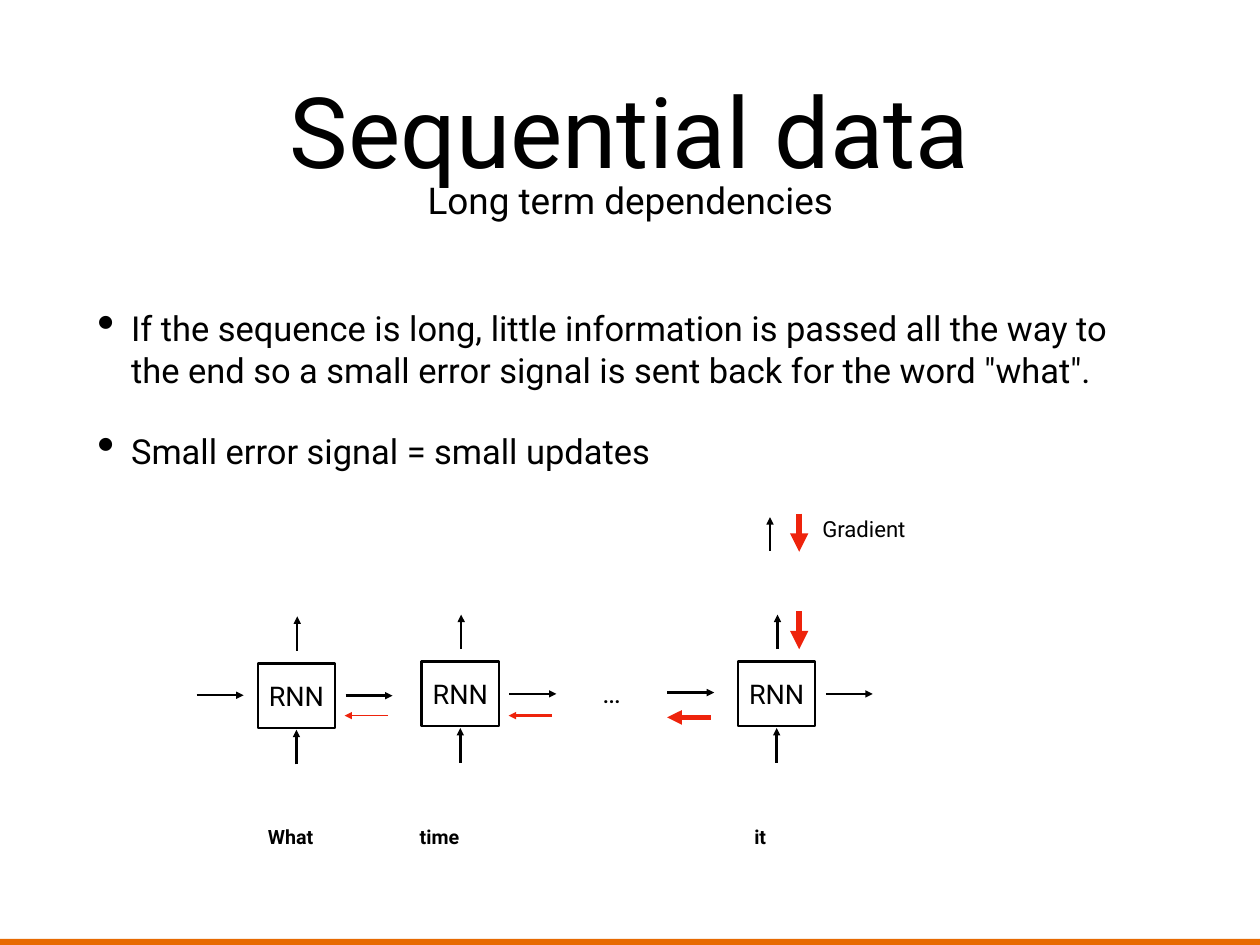
import pptx
import pptx.dml.color
import pptx.enum.shapes
import pptx.enum.text
import pptx.oxml
import pptx.oxml.ns
import pptx.util
from pptx.util import Inches

COLORS = {"text": "000000", "paper": "FFFFFF", "gradient": "EE230C", "footer": "E76A01"}
FONT = "Roboto"
SLIDE_W, SLIDE_H = 14.22, 10.67
ALIGN = pptx.enum.text.PP_ALIGN
RECTANGLE = pptx.enum.shapes.MSO_SHAPE.RECTANGLE


def rgb(name):
    return pptx.dml.color.RGBColor.from_string(COLORS[name])


def add_xml(parent, tag, **attributes):
    element = pptx.oxml.parse_xml(f"<a:{tag} {pptx.oxml.ns.nsdecls('a')}/>")
    for key, value in attributes.items():
        element.set(key, value)
    parent.append(element)


def write(shape, *paragraphs, size, bold=False, align=ALIGN.CENTER, wrap=True,
          bullet=False, gap=0):
    """Fill a shape with paragraphs in one format."""
    frame = shape.text_frame
    frame.auto_size = pptx.enum.text.MSO_AUTO_SIZE.NONE
    frame.word_wrap = wrap
    frame.vertical_anchor = pptx.enum.text.MSO_ANCHOR.MIDDLE
    frame.margin_left = frame.margin_right = Inches(0.06)
    frame.margin_top = frame.margin_bottom = Inches(0.06)
    for index, text in enumerate(paragraphs):
        paragraph = frame.add_paragraph() if index else frame.paragraphs[0]
        paragraph.alignment = align
        if bullet:
            properties = paragraph._p.get_or_add_pPr()
            properties.set("marL", str(Inches(0.38)))
            properties.set("indent", str(-Inches(0.38)))
            add_xml(properties, "buSzPct", val="145000")
            add_xml(properties, "buChar", char="•")
        if index:
            paragraph.space_before = pptx.util.Pt(gap)
        run = paragraph.add_run()
        run.text = text
        run.font.name = FONT
        run.font.size = pptx.util.Pt(size)
        run.font.bold = bold
        run.font.color.rgb = rgb("text")


def add_text(slide, box, *paragraphs, **style):
    write(slide.shapes.add_textbox(*map(Inches, box)), *paragraphs, **style)


def add_rectangle(slide, box, fill, line=None):
    rectangle = slide.shapes.add_shape(RECTANGLE, *map(Inches, box))
    rectangle.shadow.inherit = False
    rectangle.fill.solid()
    rectangle.fill.fore_color.rgb = rgb(fill)
    if line:
        rectangle.line.color.rgb = rgb(line)
        rectangle.line.width = pptx.util.Pt(2)
    else:
        rectangle.line.fill.background()
    return rectangle


def add_arrow(slide, x, y, dx=0, dy=0, color="text", weight=2):
    """Draw an arrow from (x, y) along (dx, dy)."""
    arrow = slide.shapes.add_connector(
        pptx.enum.shapes.MSO_CONNECTOR.STRAIGHT,
        *map(Inches, (x, y, x + dx, y + dy)))
    arrow.line.color.rgb = rgb(color)
    arrow.line.width = pptx.util.Pt(weight)
    add_xml(arrow.line._get_or_add_ln(), "tailEnd", type="triangle")
    add_xml(arrow._element.spPr, "effectLst")


def add_heading(slide, left, top, width, height):
    title = slide.shapes.title
    title.left, title.top, title.width, title.height = map(
        Inches, (left, top, width, height))
    write(title, "Sequential data", size=80)
    add_text(slide, (left + 3.69, top + 1.68, 4.77, 0.6),
             "Long term dependencies", size=30, wrap=False)


def add_points(slide, *box):
    add_text(slide, box,
             "If the sequence is long, little information is passed all the way "
             "to the end so a small error signal is sent back for the word \"what\".",
             "Small error signal = small updates",
             size=28, align=ALIGN.LEFT, bullet=True, gap=32)


def add_cell(slide, left, top, width, height, word, word_center, back_weight=None):
    """One RNN step: its box, forward arrows, input word and backward gradient."""
    cell = add_rectangle(slide, (left, top, width, height), "paper", "text")
    write(cell, "RNN", size=22)
    add_arrow(slide, left + width / 2, top + height + 0.41, dy=-0.39)
    add_arrow(slide, left + width / 2 + 0.01, top - 0.14, dy=-0.39)
    add_arrow(slide, left + width + 0.12, top + height / 2, dx=0.53)
    if back_weight:
        add_arrow(slide, left + width + 0.6, 8.08, dx=-0.49,
                  color="gradient", weight=back_weight)
    add_text(slide, (word_center - 0.4, 9.26, 0.8, 0.37), word,
             size=16, bold=True, wrap=False)


def add_network(slide, left, top):
    cell_size = (0.87, 0.73)
    steps = [
        (0.69, 0.02, "What", 3.28, 1),
        (2.54, 0, "time", 4.96, 2),
        (6.11, 0, "it", 8.58, None),
    ]
    for dx, dy, word, word_center, back_weight in steps:
        add_cell(slide, left + dx, top + dy, *cell_size, word, word_center, back_weight)

    # Incoming state, skipped steps and the arrows around the last step
    add_arrow(slide, left, top + 0.38, dx=0.53)
    add_text(slide, (left + 4.53, top + 0.2, 0.31, 0.37), "...",
             size=16, bold=True, wrap=False)
    add_arrow(slide, left + 5.31, top + 0.35, dx=0.53)
    add_arrow(slide, left + 5.8, top + 0.63, dx=-0.49, color="gradient", weight=4)
    add_arrow(slide, left + 6.8, top - 0.57, dy=0.43, color="gradient", weight=5)


def add_output(slide, left, top):
    """The arrows above the last step, with the gradient label."""
    add_arrow(slide, left, top + 0.42, dy=-0.38)
    add_arrow(slide, left + 0.33, top, dy=0.43, color="gradient", weight=5)
    add_text(slide, (left + 0.52, top - 0.04, 1.08, 0.42), "Gradient",
             size=18, wrap=False)


def main():
    deck = pptx.Presentation()
    deck.slide_width, deck.slide_height = Inches(SLIDE_W), Inches(SLIDE_H)
    slide = deck.slides.add_slide(deck.slide_layouts[5])

    add_rectangle(slide, (0, SLIDE_H - 0.07, SLIDE_W, 0.07), "footer")
    add_heading(slide, 1.04, 0.28, 12.14, 2.36)
    add_points(slide, 1.04, 2.83, 12.14, 3.13)
    add_network(slide, 2.22, 7.47)
    add_output(slide, 8.69, 5.8)
    deck.save("out.pptx")


if __name__ == "__main__":
    main()
